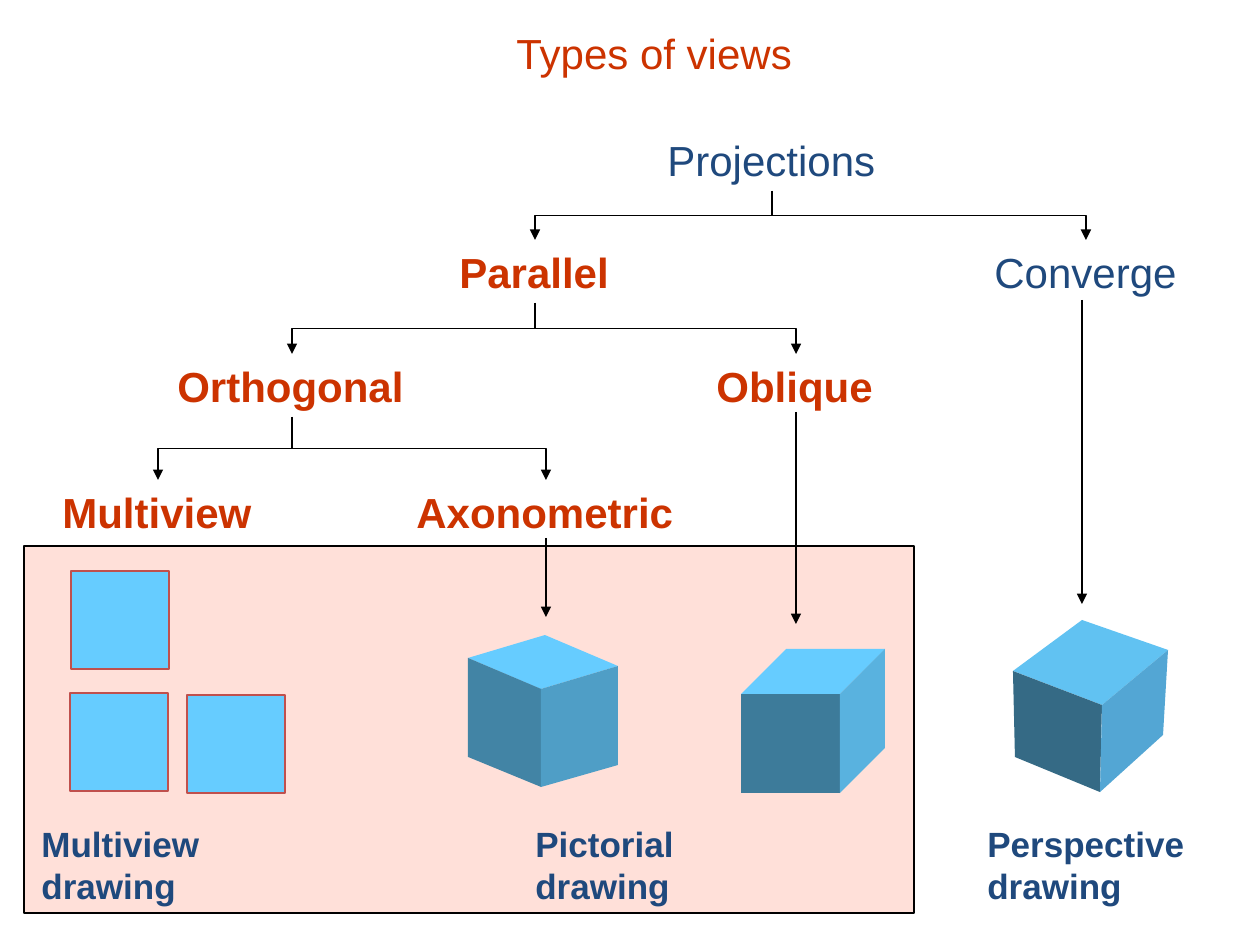
from dataclasses import dataclass

from lxml import etree
from pptx import Presentation
from pptx.dml.color import RGBColor
from pptx.enum import shapes, text
from pptx.oxml import ns
from pptx.util import Emu, Pt

EMU_PER_PX = 914400 / 126
NODE_HEIGHT = 63

BLACK = RGBColor(0x00, 0x00, 0x00)
RED = RGBColor(0xCC, 0x33, 0x00)
NAVY = RGBColor(0x1F, 0x49, 0x7D)
PANEL = RGBColor(0xFF, 0x33, 0x00)
SKY = RGBColor(0x66, 0xCC, 0xFF)
BRICK = RGBColor(0xC0, 0x50, 0x4D)


@dataclass(frozen=True)
class Node:
    label: str
    center: int
    top: int
    width: int
    color: RGBColor = RED
    bold: bool = True


@dataclass(frozen=True)
class Caption:
    label: str
    left: int
    width: int
    height: int


@dataclass(frozen=True)
class Cube:
    """Points: top face left, back, right, front; then bottom left, front, right."""
    points: tuple[tuple[int, int], ...]
    top: RGBColor
    left: RGBColor
    right: RGBColor


PROJECTIONS = Node("Projections", 772, 128, 234, NAVY, False)
PARALLEL = Node("Parallel", 535, 240, 176)
CONVERGE = Node("Converge", 1086, 240, 208, NAVY, False)
ORTHOGONAL = Node("Orthogonal", 292, 354, 254)
OBLIQUE = Node("Oblique", 796, 354, 184)
MULTIVIEW = Node("Multiview", 158, 480, 216)
AXONOMETRIC = Node("Axonometric", 546, 480, 284)

TREE = {
    PROJECTIONS: (PARALLEL, CONVERGE),
    PARALLEL: (ORTHOGONAL, OBLIQUE),
    ORTHOGONAL: (MULTIVIEW, AXONOMETRIC),
}
NODES = (PROJECTIONS, PARALLEL, CONVERGE, ORTHOGONAL, OBLIQUE, MULTIVIEW, AXONOMETRIC)

CAPTIONS = (
    Caption("Multiview drawing", 29, 322, 54),
    Caption("Pictorial drawing", 523, 303, 54),
    Caption("Perspective\ndrawing", 975, 224, 97),
)
CAPTION_TOP = 816

SQUARE_SIZE = 98
SQUARES = ((71, 571), (70, 693), (187, 695))

CUBES = (
    Cube(((468, 658), (545, 635), (618, 666), (541, 689),
          (468, 757), (541, 787), (618, 765)),
         SKY, RGBColor(0x42, 0x84, 0xA5), RGBColor(0x4F, 0x9E, 0xC6)),
    Cube(((741, 694), (786, 649), (885, 649), (840, 694),
          (741, 793), (840, 793), (885, 748)),
         SKY, RGBColor(0x3D, 0x7B, 0x9A), RGBColor(0x59, 0xB2, 0xDF)),
    Cube(((1013, 671), (1082, 620), (1168, 650), (1102, 705),
          (1015, 757), (1100, 792), (1163, 735)),
         RGBColor(0x61, 0xC2, 0xF2), RGBColor(0x35, 0x6A, 0x85),
         RGBColor(0x53, 0xA6, 0xD4)),
)

# x, start y, end y
DROPS = ((796, 412, 624), (546, 538, 617), (1082, 300, 604))


def px(length: float) -> Emu:
    return Emu(round(length * EMU_PER_PX))


def add_text(slide, content: str, left: float, top: int, width: int, height: int, *,
             size: int = 24, color: RGBColor = NAVY, bold: bool = False,
             wrap: bool = False) -> None:
    box = slide.shapes.add_textbox(px(left), px(top), px(width), px(height))
    frame = box.text_frame
    frame.word_wrap = wrap
    frame.auto_size = text.MSO_AUTO_SIZE.SHAPE_TO_FIT_TEXT
    frame.text = content
    for paragraph in frame.paragraphs:
        for run in paragraph.runs:
            run.font.name = "Arial"
            run.font.size = Pt(size)
            run.font.bold = bold
            run.font.color.rgb = color


def style_shape(shape, fill: RGBColor, line: RGBColor | None = None) -> None:
    shape.shadow.inherit = False
    shape.fill.solid()
    shape.fill.fore_color.rgb = fill
    if line is None:
        shape.line.fill.background()
    else:
        shape.line.color.rgb = line
        shape.line.width = Pt(0.75)


def add_rectangle(slide, left: int, top: int, width: int, height: int,
                  fill: RGBColor, line: RGBColor):
    shape = slide.shapes.add_shape(shapes.MSO_SHAPE.RECTANGLE,
                                   px(left), px(top), px(width), px(height))
    style_shape(shape, fill, line)
    return shape


def set_opacity(shape, percent: int) -> None:
    color = shape.fill._xPr.find(".//" + ns.qn("a:srgbClr"))
    etree.SubElement(color, ns.qn("a:alpha"), val=str(percent * 1000))


def add_cube(slide, cube: Cube) -> None:
    left, back, right, front, low_left, low_front, low_right = cube.points
    faces = (
        ((left, back, right, front), cube.top),
        ((left, front, low_front, low_left), cube.left),
        ((front, right, low_right, low_front), cube.right),
    )
    group = slide.shapes.add_group_shape()
    for corners, color in faces:
        start, *others = [(px(x), px(y)) for x, y in corners]
        builder = group.shapes.build_freeform(*start, scale=1.0)
        builder.add_line_segments(others, close=True)
        style_shape(builder.convert_to_shape(), color)


def add_arrow(slide, kind, x1: float, y1: float, x2: float, y2: float):
    arrow = slide.shapes.add_connector(kind, px(x1), px(y1), px(x2), px(y2))
    arrow.line.color.rgb = BLACK
    arrow.line.width = Pt(0.75)
    etree.SubElement(arrow.line._get_or_add_ln(), ns.qn("a:tailEnd"), type="triangle")
    etree.SubElement(arrow._element.spPr, ns.qn("a:effectLst"))
    return arrow


def add_branch(slide, parent: Node, child: Node) -> None:
    """Elbow from parent to child, turned so that it leaves downwards."""
    start = parent.top + NODE_HEIGHT
    middle_x, middle_y = (parent.center + child.center) / 2, (start + child.top) / 2
    half_drop, half_span = (child.top - start) / 2, abs(child.center - parent.center) / 2
    arrow = add_arrow(slide, shapes.MSO_CONNECTOR.ELBOW,
                      middle_x - half_drop, middle_y - half_span,
                      middle_x + half_drop, middle_y + half_span)
    frame = arrow._element.spPr.find(ns.qn("a:xfrm"))
    if child.center < parent.center:
        frame.set("rot", str(90 * 60000))
    else:
        frame.set("rot", str(270 * 60000))
        frame.set("flipH", "1")


def main() -> None:
    presentation = Presentation()
    presentation.slide_width, presentation.slide_height = px(1260), px(945)
    slide = presentation.slides.add_slide(presentation.slide_layouts[6])

    panel = add_rectangle(slide, 24, 546, 890, 367, PANEL, BLACK)
    set_opacity(panel, 15)

    add_text(slide, "Types of views", 504, 21, 304, NODE_HEIGHT, color=RED)
    for node in NODES:
        add_text(slide, node.label, node.center - node.width / 2, node.top,
                 node.width, NODE_HEIGHT, color=node.color, bold=node.bold)
    for parent, children in TREE.items():
        for child in children:
            add_branch(slide, parent, child)

    for cube in CUBES:
        add_cube(slide, cube)
    for left, top in SQUARES:
        add_rectangle(slide, left, top, SQUARE_SIZE, SQUARE_SIZE, SKY, BRICK)
    for caption in CAPTIONS:
        add_text(slide, caption.label, caption.left, CAPTION_TOP, caption.width,
                 caption.height, size=20, bold=True, wrap=True)
    for x, start, end in DROPS:
        add_arrow(slide, shapes.MSO_CONNECTOR.STRAIGHT, x, start, x, end)

    presentation.save("out.pptx")


if __name__ == "__main__":
    main()
